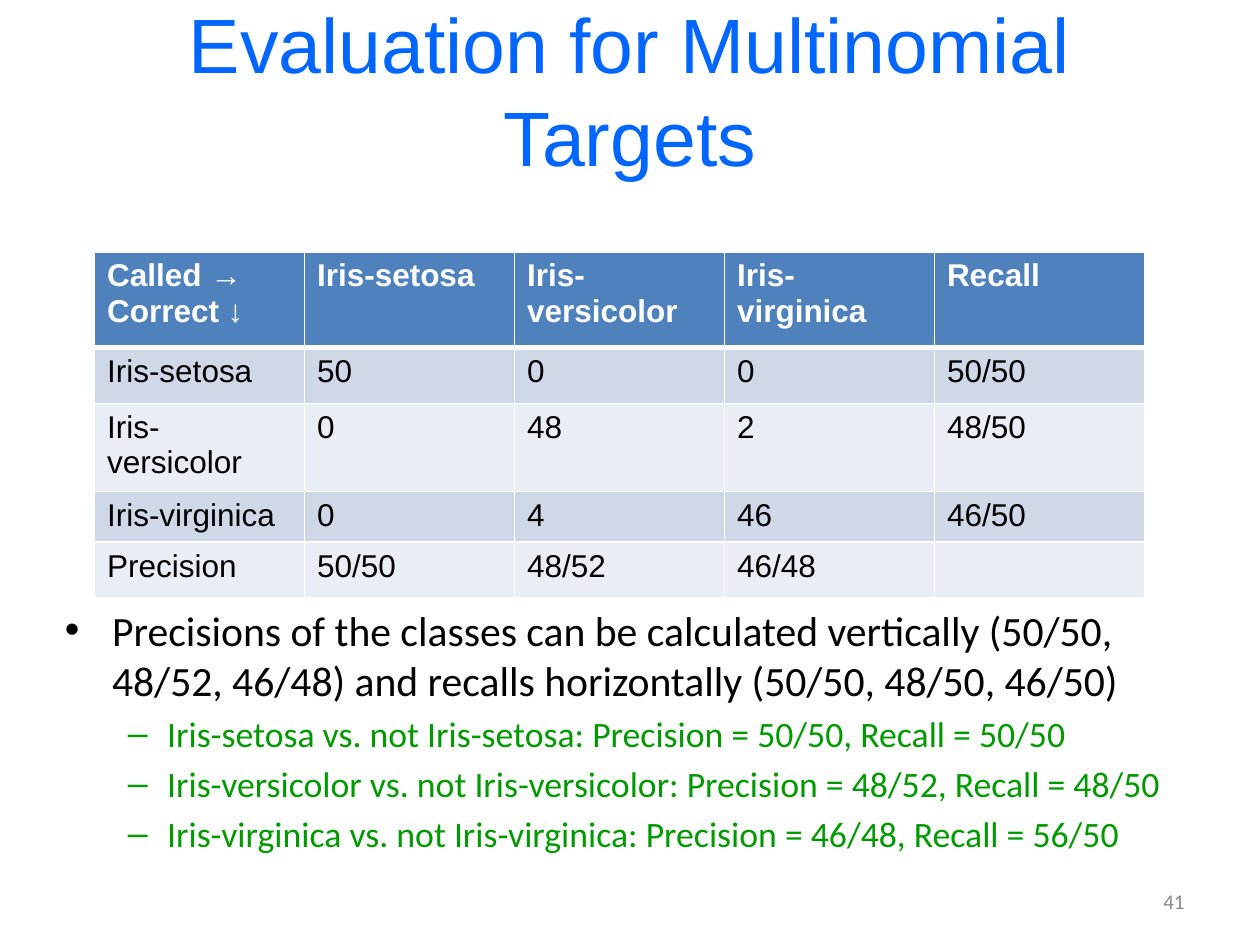
from lxml import etree
from pptx import Presentation
from pptx.dml.color import RGBColor
from pptx.enum import text
from pptx.oxml import ns
from pptx.util import Pt

TITLE = "Evaluation for Multinomial Targets"
MATRIX = [
    ["Called →\nCorrect ↓", "Iris-setosa", "Iris-versicolor", "Iris-virginica", "Recall"],
    ["Iris-setosa", "50", "0", "0", "50/50"],
    ["Iris-versicolor", "0", "48", "2", "48/50"],
    ["Iris-virginica", "0", "4", "46", "46/50"],
    ["Precision", "50/50", "48/52", "46/48", ""],
]
ROW_HEIGHTS = [54.6, 32, 47.4, 28.6, 32]
POINT = ("Precisions of the classes can be calculated vertically (50/50, 48/52, 46/48) "
         "and recalls horizontally (50/50, 48/50, 46/50)")
DETAILS = [
    "Iris-setosa vs. not Iris-setosa: Precision = 50/50, Recall = 50/50",
    "Iris-versicolor vs. not Iris-versicolor: Precision = 48/52, Recall = 48/50",
    "Iris-virginica vs. not Iris-virginica: Precision = 46/48, Recall = 56/50",
]
HEADER, BANDS = "4F81BD", ["E9EDF4", "D0D8E8"]


def color(hex_code):
    return RGBColor.from_string(hex_code)


def write(p, content, size, font="Calibri", fill="000000", bold=False,
          align=text.PP_ALIGN.LEFT, bullet=None, left=0, hang=0, before=0):
    p.alignment = align
    if bullet:
        pPr = p._p.get_or_add_pPr()
        pPr.set("marL", str(Pt(left)))
        pPr.set("indent", str(-Pt(hang)))
        etree.SubElement(pPr, ns.qn("a:buFont")).set("typeface", "Arial")
        etree.SubElement(pPr, ns.qn("a:buChar")).set("char", bullet)
    if before:
        p.space_before = Pt(before)
    r = p.add_run()
    r.text = content
    r.font.size, r.font.name, r.font.bold = Pt(size), font, bold
    r.font.color.rgb = color(fill)


def add_box(slide, x, y, w, h, anchor=text.MSO_ANCHOR.TOP):
    tf = slide.shapes.add_textbox(Pt(x), Pt(y), Pt(w), Pt(h)).text_frame
    tf.word_wrap = True
    tf.vertical_anchor = anchor
    return tf


def set_borders(cell, widths):
    tcPr = cell._tc.get_or_add_tcPr()
    for i, (side, width) in enumerate(widths.items()):
        ln = etree.Element(ns.qn("a:ln" + side), w=str(Pt(width)))
        fill = etree.SubElement(ln, ns.qn("a:solidFill"))
        etree.SubElement(fill, ns.qn("a:srgbClr")).set("val", "FFFFFF")
        tcPr.insert(i, ln)


prs = Presentation()
prs.slide_width, prs.slide_height = Pt(720), Pt(540)
s = prs.slides.add_slide(prs.slide_layouts[6])

# Title
tf = add_box(s, 36, 6, 648, 90, text.MSO_ANCHOR.MIDDLE)
write(tf.paragraphs[0], TITLE, 44, font="Arial", fill="0066FF", align=text.PP_ALIGN.CENTER)

# Confusion matrix
table = s.shapes.add_table(len(MATRIX), len(MATRIX[0]), Pt(54), Pt(144),
                           Pt(600), Pt(sum(ROW_HEIGHTS))).table
for column in table.columns:
    column.width = Pt(120)
for i, (row, height) in enumerate(zip(MATRIX, ROW_HEIGHTS)):
    table.rows[i].height = Pt(height)
    head = i == 0
    for j, value in enumerate(row):
        cell = table.cell(i, j)
        cell.fill.solid()
        cell.fill.fore_color.rgb = color(HEADER if head else BANDS[i % 2])
        set_borders(cell, {"L": 1, "R": 1, "T": 3 if i == 1 else 1, "B": 3 if head else 1})
        tf = cell.text_frame
        for k, line in enumerate(value.split("\n")):
            p = tf.add_paragraph() if k else tf.paragraphs[0]
            write(p, line, 18, font="Arial", fill="FFFFFF" if head else "000000", bold=head)

# Explanation
tf = add_box(s, 30, 342, 648, 174)
write(tf.paragraphs[0], POINT, 23.8, bullet="•", left=27, hang=27)
for detail in DETAILS:
    write(tf.add_paragraph(), detail, 20.4, fill="009900", bullet="–",
          left=58.5, hang=22.5, before=4.08)

# Slide number
tf = add_box(s, 516, 500.5, 168, 28.75, text.MSO_ANCHOR.MIDDLE)
write(tf.paragraphs[0], "41", 12, fill="898989", align=text.PP_ALIGN.RIGHT)

prs.save("out.pptx")
